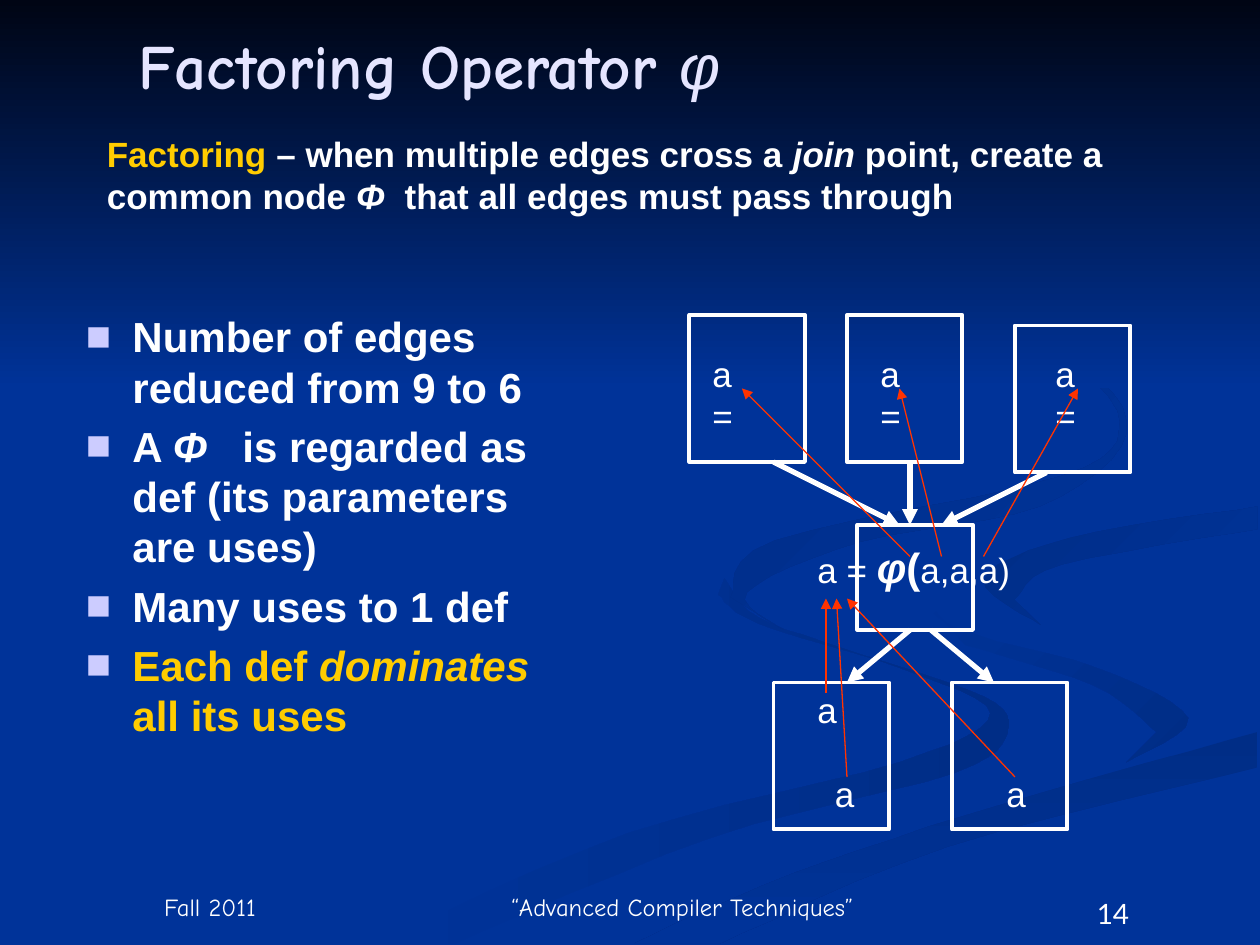
from itertools import chain
from lxml.etree import SubElement
from pptx import Presentation
from pptx.dml.color import RGBColor
from pptx.enum.shapes import MSO_CONNECTOR, MSO_SHAPE
from pptx.enum.text import MSO_ANCHOR, MSO_AUTO_SIZE, PP_ALIGN
from pptx.oxml.ns import qn
from pptx.util import Inches, Pt

COLORS = {
    "page": "003399", "night": "000514", "shade": "002D86",
    "white": "FFFFFF", "title": "E5E5FF", "gold": "FFCC00",
    "bullet": "CCCCFF", "red": "FF3300",
}
COLUMNS, ROWS = 360, 270
CELL = Inches(10) // COLUMNS
SHARE = Inches(10) // 1000  # ribbons are given in thousandths of the page width

# Each ribbon: gradient start, end and angle, then its outer and inner edge.
RIBBONS = [
    ("page", "shade", 0,
     [(575, 459), (602, 490), (682, 519), (781, 553), (800, 581), (756, 614),
      (564, 665), (361, 749)],
     [(300, 749), (499, 661), (714, 605), (786, 566), (714, 530), (602, 495),
      (570, 472)]),
    ("page", "shade", 45,
     [(724, 464), (758, 498), (870, 530), (943, 570), (894, 605)],
     [(918, 581), (868, 544), (766, 512)]),
    ("shade", "page", 90,
     [(503, 749), (630, 693), (797, 638), (998, 581)],
     [(998, 609), (752, 672), (571, 749)]),
    ("shade", "page", 45,
     [(826, 496), (781, 460), (849, 427), (998, 402)],
     [(998, 420), (843, 448), (805, 476)]),
    ("shade", "page", 45,
     [(762, 233), (854, 283), (894, 344), (825, 402), (683, 430), (593, 470),
      (622, 500)],
     [(580, 474), (615, 429), (842, 378), (889, 335), (846, 279)]),
]
BLOCK_WIDTH, BLOCK_HEIGHT = 33, 42
TOP, JOIN, BOTTOM = 90, 150, 195  # upper edges of the three rows of blocks
JOIN_HEIGHT = 30
BULLETS = [
    [("Number of edges reduced from 9 to 6", {})],
    [("A ", {}), ("Φ", {"italic": True}), (" ", {"gap": 13.3}),
     ("is regarded as def (its parameters are uses)", {})],
    [("Many uses to 1 def", {})],
    [("Each def ", {"color": "gold"}),
     ("dominates", {"color": "gold", "italic": True}),
     (" all its uses", {"color": "gold"})],
]


def rgb(name):
    return RGBColor.from_string(COLORS[name])


def cells(*values):
    return [round(value * CELL) for value in values]


def smooth(points, steps=6):
    """Return points of a Catmull-Rom curve through the given points."""
    padded = [points[0], *points, points[-1]]
    curve = []
    for a, b, c, d in zip(padded, padded[1:], padded[2:], padded[3:]):
        for t in (step / steps for step in range(steps)):
            curve.append(tuple(
                q + t * (r - p) / 2 + t**2 * (2 * p - 5 * q + 4 * r - s) / 2
                + t**3 * (3 * q - p - 3 * r + s) / 2
                for p, q, r, s in zip(a, b, c, d)))
    return [*curve, points[-1]]


def paint_gradient(shape, start, end, angle):
    """Fill without outline; the angle turns clockwise."""
    shape.shadow.inherit = False
    shape.line.fill.background()
    shape.fill.gradient()
    shape.fill.gradient_angle = -angle % 360
    for stop, name in zip(shape.fill.gradient_stops, (start, end)):
        stop.color.rgb = rgb(name)


def add_ribbon(page, start, end, angle, *edges):
    outline = list(chain.from_iterable(map(smooth, edges)))
    builder = page.shapes.build_freeform(*outline[0], scale=SHARE)
    builder.add_line_segments(outline[1:], close=True)
    paint_gradient(builder.convert_to_shape(), start, end, angle)


def add_block(page, left, top, height=BLOCK_HEIGHT):
    block = page.shapes.add_shape(
        MSO_SHAPE.RECTANGLE, *cells(left, top, BLOCK_WIDTH, height))
    block.shadow.inherit = False
    block.fill.background()
    block.line.color.rgb = rgb("white")
    block.line.width = Pt(2.25)


def add_arrow(page, ends, color, width):
    arrow = page.shapes.add_connector(MSO_CONNECTOR.STRAIGHT, *cells(*ends))
    arrow.line.color.rgb = rgb(color)
    arrow.line.width = Pt(width)
    SubElement(arrow.line._get_or_add_ln(), qn("a:tailEnd"), type="triangle")
    SubElement(arrow._element.spPr, qn("a:effectLst"))


def add_span(para, text, color="white", gap=None, **formats):
    """Add a run; gap is extra letter spacing in points."""
    span = para.add_run()
    span.text = text
    span.font.color.rgb = rgb(color)
    for name, value in formats.items():
        setattr(span.font, name, value)
    if gap:
        span._r.get_or_add_rPr().set("spc", str(round(gap * 100)))


def add_bullet(para):
    properties = para._p.get_or_add_pPr()
    indent = Inches(0.37)
    properties.set("marL", str(indent))
    properties.set("indent", str(-indent))
    color = SubElement(properties, qn("a:buClr"))
    SubElement(color, qn("a:srgbClr"), val=COLORS["bullet"])
    SubElement(properties, qn("a:buFont"), typeface="Arial")
    SubElement(properties, qn("a:buChar"), char="■")


def add_text(page, area, paragraphs, size, font="Arial", bold=False,
             bulleted=False, para_formats=None, **frame_formats):
    frame = page.shapes.add_textbox(*cells(*area)).text_frame
    for name, value in {"word_wrap": True, **frame_formats}.items():
        setattr(frame, name, value)
    for index, spans in enumerate(paragraphs):
        para = frame.add_paragraph() if index else frame.paragraphs[0]
        if index:
            para.space_before = Pt(5)
        for name, value in (para_formats or {}).items():
            setattr(para, name, value)
        if bulleted:
            add_bullet(para)
        for text, formats in spans:
            base = {"size": Pt(size), "name": font, "bold": bold}
            add_span(para, text, **{**base, **formats})


def add_label(page, text, left, top, width):
    add_text(page, (left, top, width, 16), [[(text, {})]], 20,
             word_wrap=False, auto_size=MSO_AUTO_SIZE.SHAPE_TO_FIT_TEXT)


def add_background(page):
    page.background.fill.solid()
    page.background.fill.fore_color.rgb = rgb("page")
    for ribbon in RIBBONS:
        add_ribbon(page, *ribbon)
    sky = page.shapes.add_shape(MSO_SHAPE.RECTANGLE, *cells(0, 0, COLUMNS, 111))
    paint_gradient(sky, "night", "page", 90)


def add_footer(page):
    for left, width, text in [
        (18, 84, "Fall 2011"), (138, 114, "“Advanced Compiler Techniques”"),
    ]:
        add_text(page, (left, 252, width, 13), [[(text, {})]], 14, "Comic Neue",
                 para_formats={"alignment": PP_ALIGN.CENTER},
                 vertical_anchor=MSO_ANCHOR.BOTTOM)
    add_text(page, (288, 254.5, 60, 14.4), [[("14", {})]], 16, "Lato",
             para_formats={"alignment": PP_ALIGN.CENTER})


def add_blocks_and_flows(page):
    join_bottom = JOIN + JOIN_HEIGHT
    add_block(page, 245, JOIN, JOIN_HEIGHT)
    for left, drop, start, end in [
        (197, 0, 221, 257), (242, 0, 260, 260), (290, 3, 299, 269),
    ]:
        add_block(page, left, TOP + drop)
        add_arrow(page, (start, TOP + drop + BLOCK_HEIGHT, end, JOIN), "white", 3)
    for left, start, end in [(221, 260, 242), (272, 266, 284)]:
        add_block(page, left, BOTTOM)
        add_arrow(page, (start, join_bottom, end, BOTTOM), "white", 3)


def add_definitions_and_uses(page):
    for left, start, end in [(200, 260, 212), (248, 269, 257), (298, 281, 308)]:
        add_label(page, "a =", left, TOP + 9, 21)
        add_arrow(page, (start, JOIN + 9, end, TOP + 21), "red", 0.75)
    for left, drop, start, end in [
        (230, 0, 236, 236), (235, 24, 242, 239), (284, 24, 290, 242),
    ]:
        add_label(page, "a", left, BOTTOM + drop, 12.6)
        add_arrow(page, (start, BOTTOM + drop + 3, end, JOIN + 21), "red", 0.75)
    strong = {"size": Pt(24), "bold": True}
    add_text(page, (230, JOIN + 3, 75, 18), [[
        ("a = ", {}), ("φ", {**strong, "italic": True}), ("(", strong),
        ("a,a,a)", {})]], 20)


def main():
    deck = Presentation()
    deck.slide_width, deck.slide_height = cells(COLUMNS, ROWS)
    page = deck.slides.add_slide(deck.slide_layouts[6])
    add_background(page)
    add_footer(page)
    add_text(page, (36, 6, 297, 30), [[
        ("Factoring Operator ", {"color": "title"}),
        ("φ", {"color": "title", "name": "Arial", "bold": False, "italic": True}),
    ]], 36, "Comic Neue", bold=True, para_formats={"line_spacing": 0.7},
        vertical_anchor=MSO_ANCHOR.MIDDLE)
    add_text(page, (21, 87, 141, 144), BULLETS, 24, bold=True, bulleted=True)
    add_blocks_and_flows(page)
    add_definitions_and_uses(page)
    add_text(page, (27, 36, 309, 28), [[
        ("Factoring", {"color": "gold"}),
        (" – when multiple edges cross a ", {}), ("join", {"italic": True}),
        (" point, create a common node ", {}), ("Φ", {"italic": True}),
        (" ", {"gap": 5.6}), ("that all edges must pass through", {}),
    ]], 20, bold=True)
    deck.save("out.pptx")


if __name__ == "__main__":
    main()
